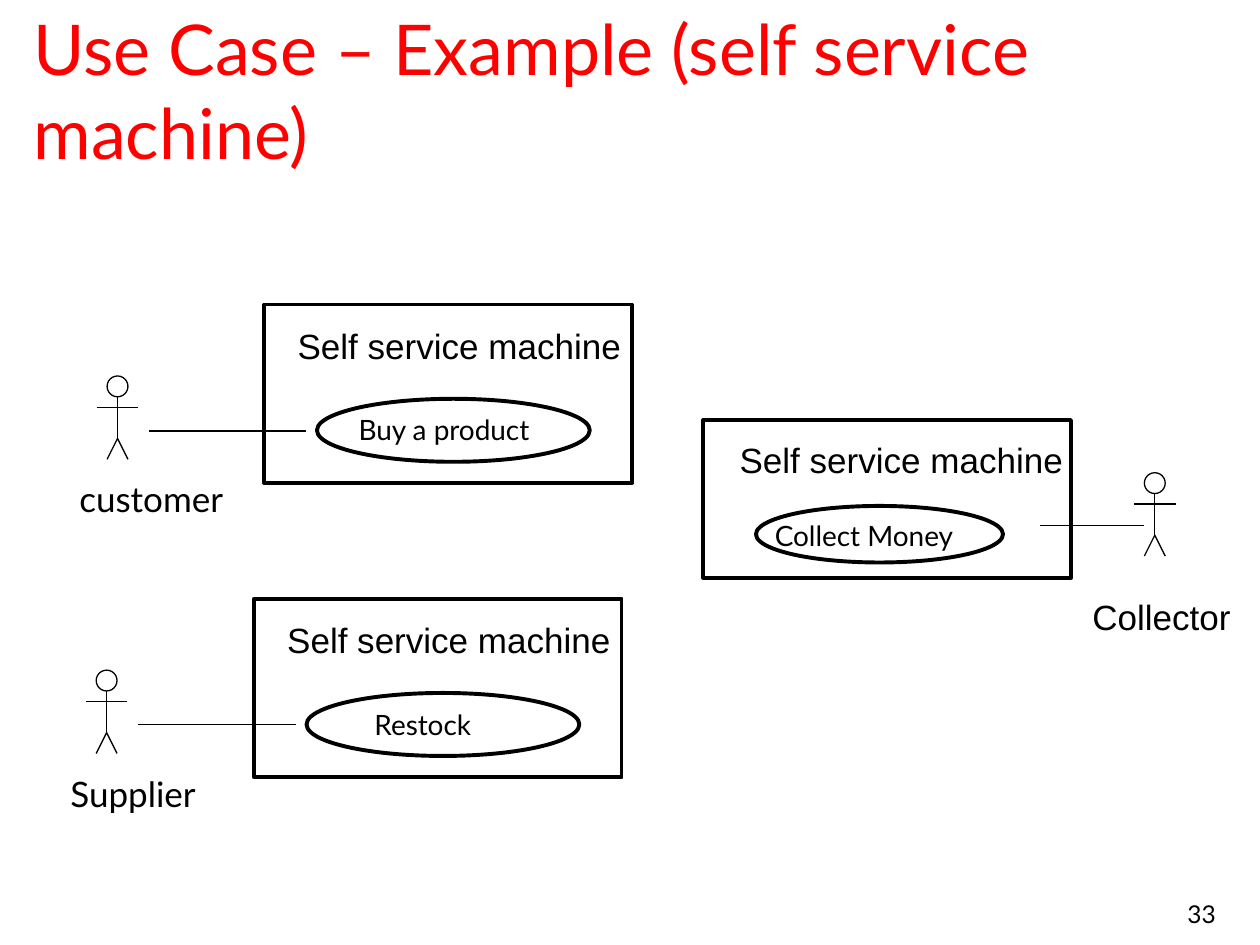
from dataclasses import dataclass

from lxml.etree import SubElement
from pptx import Presentation
from pptx.dml.color import RGBColor
from pptx.enum.shapes import MSO_CONNECTOR, MSO_SHAPE
from pptx.enum.text import MSO_ANCHOR, PP_ALIGN
from pptx.oxml.ns import qn
from pptx.util import Cm, Pt

BLACK = RGBColor(0x00, 0x00, 0x00)
RED = RGBColor(0xFF, 0x00, 0x00)
WHITE = RGBColor(0xFF, 0xFF, 0xFF)
SLIDE_WIDTH, SLIDE_HEIGHT = 25.4, 19.05
THIN, THICK = 0.75, 2.25
ACTOR_UNIT = 0.42


@dataclass
class UseCase:
    """Places are (left, top) in cm; offsets count from the system box."""
    case: str
    system: tuple
    system_size: tuple
    name_offset: tuple
    oval_offset: tuple
    oval_size: tuple
    case_offset: tuple
    actor: str
    actor_at: tuple
    label_at: tuple
    label_font: str
    link: tuple


LARGE = dict(system_size=(7.41, 3.6), name_offset=(0.42, 0.28),
             oval_offset=(1.06, 1.9), oval_size=(5.5, 1.27), label_font="Lato")

USE_CASES = [
    UseCase(case="Restock", system=(5.12, 12.07), case_offset=(2.18, 2.06),
            actor="Supplier", actor_at=(1.73, 13.51), label_at=(1.17, 15.44),
            link=(2.79, 5.96, 14.61), **LARGE),
    UseCase(case="Buy a product", system=(5.33, 6.14), case_offset=(1.65, 2.06),
            actor="customer", actor_at=(1.95, 7.58), label_at=(1.35, 9.5),
            link=(3, 6.17, 8.69), **LARGE),
    UseCase(case="Collect Money", system=(14.18, 8.47), system_size=(7.41, 3.18),
            name_offset=(0.48, 0.25), oval_offset=(1.06, 1.73),
            oval_size=(4.98, 1.14), case_offset=(1.19, 1.85),
            actor="Collector", actor_at=(22.86, 9.53), label_at=(21.77, 11.89),
            label_font="Arial", link=(23.06, 20.96, 10.59)),
]


def shifted(place, offset):
    return place[0] + offset[0], place[1] + offset[1]


class Diagram:
    """Draws outlined shapes, lines, text and actors on one slide."""

    def __init__(self, page, color=BLACK):
        self.page = page
        self.color = color

    def outline(self, shape, weight):
        shape.shadow.inherit = False
        shape.fill.background()
        shape.line.color.rgb = self.color
        shape.line.width = Pt(weight)

    def shape(self, kind, place, size, weight=THICK, parent=None):
        shapes = (parent or self.page).shapes
        shape = shapes.add_shape(kind, *map(Cm, (*place, *size)))
        self.outline(shape, weight)

    def line(self, start, end, parent=None):
        shapes = (parent or self.page).shapes
        line = shapes.add_connector(MSO_CONNECTOR.STRAIGHT, *map(Cm, (*start, *end)))
        line.line.color.rgb = self.color
        line.line.width = Pt(THIN)
        SubElement(line._element.spPr, qn("a:effectLst"))

    def text(self, text, place, size, font="Lato", points=20, color=None,
             align=PP_ALIGN.LEFT, anchor=MSO_ANCHOR.TOP, fill=None):
        box = self.page.shapes.add_textbox(*map(Cm, (*place, *size)))
        if fill is not None:
            box.fill.solid()
            box.fill.fore_color.rgb = fill
        frame = box.text_frame
        frame.word_wrap = True
        frame.vertical_anchor = anchor
        para = frame.paragraphs[0]
        para.alignment = align
        span = para.add_run()
        span.text = text
        span.font.name = font
        span.font.size = Pt(points)
        span.font.color.rgb = self.color if color is None else color

    def actor(self, place):
        """Stick figure two units wide and four units high."""
        figure = self.page.shapes.add_group_shape()

        def at(across, down):
            return shifted(place, (across * ACTOR_UNIT, down * ACTOR_UNIT))

        self.shape(MSO_SHAPE.OVAL, at(0.5, 0), (ACTOR_UNIT, ACTOR_UNIT), THIN, figure)
        self.line(at(1, 1), at(1, 3), figure)
        left_foot, hip, right_foot = [
            tuple(map(Cm, at(*point))) for point in ((0.5, 4), (1, 3), (1.5, 4))]
        legs = figure.shapes.build_freeform(*left_foot)
        legs.add_line_segments([hip, right_foot], close=False)
        self.outline(legs.convert_to_shape(), THIN)
        self.line(at(0, 1.5), at(2, 1.5), figure)

    def use_case(self, item):
        self.shape(MSO_SHAPE.RECTANGLE, item.system, item.system_size)
        self.actor(item.actor_at)
        self.shape(MSO_SHAPE.OVAL, shifted(item.system, item.oval_offset), item.oval_size)
        self.text(item.case, shifted(item.system, item.case_offset), (4.6, 0.94), points=16)
        self.text(item.actor, item.label_at, (3.6, 1.12), font=item.label_font)
        name_at = shifted(item.system, item.name_offset)
        name_width = min(11.86, SLIDE_WIDTH - name_at[0])
        self.text("Self service machine", name_at, (name_width, 1.12), font="Arial")
        start, end, height = item.link
        self.line((start, height), (end, height))


def main():
    deck = Presentation()
    deck.slide_width, deck.slide_height = Cm(SLIDE_WIDTH), Cm(SLIDE_HEIGHT)
    diagram = Diagram(deck.slides.add_slide(deck.slide_layouts[6]))
    diagram.text("33", (19.48, 17.58), (5.28, 1.27), points=14,
                 align=PP_ALIGN.RIGHT, anchor=MSO_ANCHOR.BOTTOM)
    diagram.text("Use Case – Example (self service machine)", (0.43, 0.43), (24.41, 2.74),
                 points=40, color=RED, anchor=MSO_ANCHOR.MIDDLE, fill=WHITE)
    for item in USE_CASES:
        diagram.use_case(item)
    deck.save("out.pptx")


if __name__ == "__main__":
    main()
